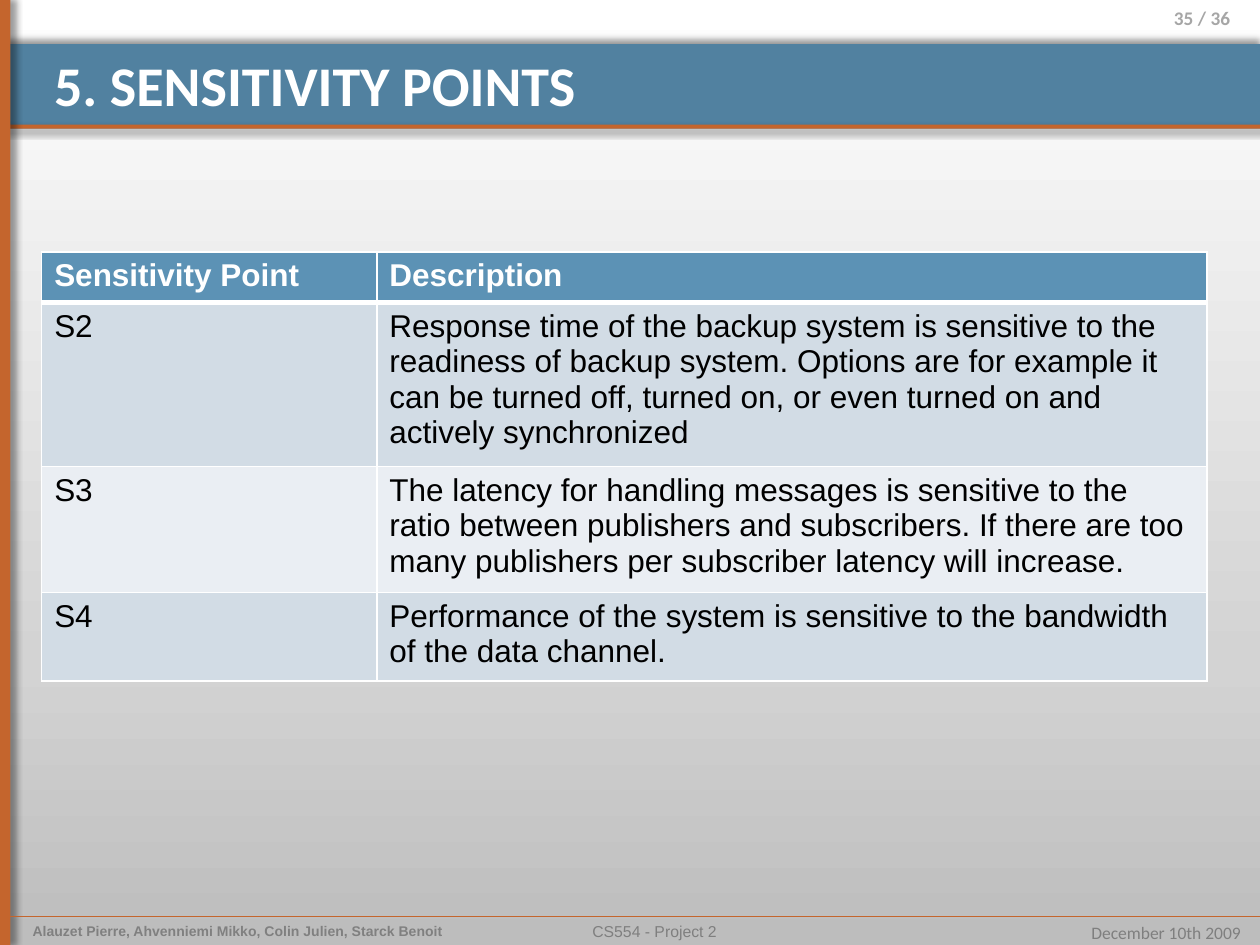
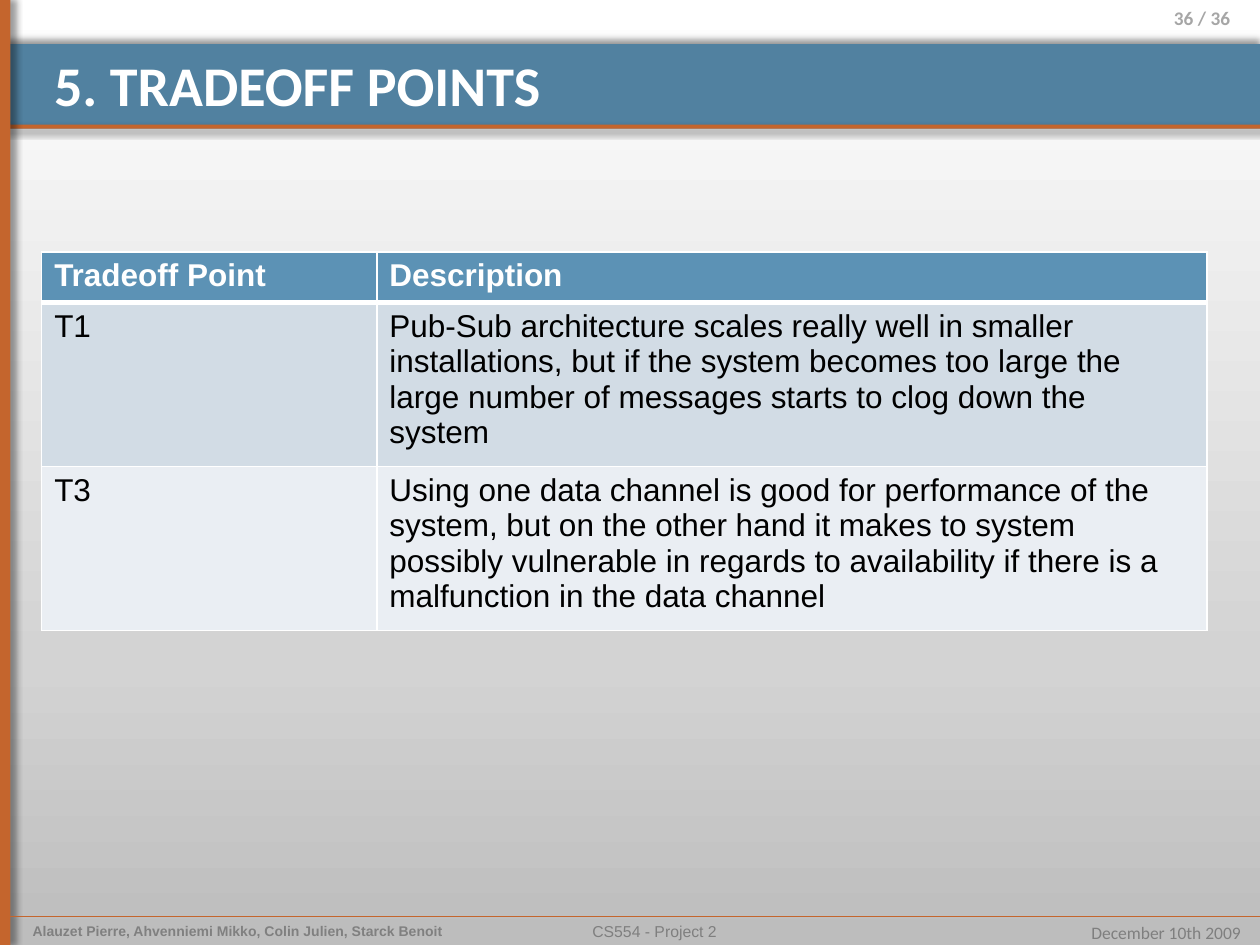
from copy import deepcopy

from lxml import etree
from pptx import Presentation
from pptx.dml.color import RGBColor
from pptx.enum.shapes import MSO_CONNECTOR, MSO_SHAPE
from pptx.enum.text import PP_ALIGN
from pptx.oxml import parse_xml
from pptx.oxml.ns import nsdecls, qn
from pptx.util import Pt

RECT = MSO_SHAPE.RECTANGLE
LINE = MSO_CONNECTOR.STRAIGHT
LEFT, MID, RIGHT = PP_ALIGN.LEFT, PP_ALIGN.CENTER, PP_ALIGN.RIGHT

WIDE, HIGH = 720, 540
RUST, BLUE, HEAD, WHITE = "C4652D", "5181A0", "5C92B5", "FFFFFF"
BANDS = ["D2DCE5", "EAEEF3"]
FADE = [(0, "BDBDBD"), (0.3, "D3D3D3"), (1, WHITE)]
FOOT = 523.4
TOTAL = 36

# Left, top, width, height, fill, shadow angle
BARS = [
    (0, 25.2, WIDE, 48.2, BLUE, 270),
    (0, 71.3, WIDE, 2.2, RUST, 45),
    (0, 0, 6, HIGH, RUST, 0),
]

# Font formats: name, size, bold, colour
TITLE = dict(name="Calibri", size=Pt(32), bold=True, color=WHITE)
COUNT = dict(name="Calibri", size=Pt(11), bold=True, color="A6A6A6")
TEAM = dict(name="Arial", size=Pt(8), bold=True, color="808080")
COURSE = dict(name="Arial", size=Pt(9), bold=False, color="7F7F7F")
DATE = dict(name="Calibri", size=Pt(10), bold=False, color="7F7F7F")
TOP = dict(name="Arial", size=Pt(18), bold=True, color=WHITE)
BODY = dict(name="Arial", size=Pt(18), bold=False, color="000000")

# Title, first heading, rows of (name, description, row height)
PAGES = [
    ("5. SENSITIVITY POINTS", "Sensitivity Point", [
        ("S2", "Response time of the backup system is sensitive to the readiness "
               "of backup system. Options are for example it can be turned off, "
               "turned on, or even turned on and actively synchronized", 88),
        ("S3", "The latency for handling messages is sensitive to the ratio "
               "between publishers and subscribers. If there are too many "
               "publishers per subscriber latency will increase.", 67.5),
        ("S4", "Performance of the system is sensitive to the bandwidth of the "
               "data channel.", 47.5),
    ]),
    ("5. TRADEOFF POINTS", "Tradeoff Point", [
        ("T1", "Pub-Sub architecture scales really well in smaller installations, "
               "but if the system becomes too large the large number of messages "
               "starts to clog down the system", 88),
        ("T3", "Using one data channel is good for performance of the system, but "
               "on the other hand it makes to system possibly vulnerable in "
               "regards to availability if there is a malfunction in the data "
               "channel", 88),
    ]),
]

hue = RGBColor.from_string


def write(frame, text, form, align=LEFT):
    """Fill a text frame with one formatted paragraph."""
    frame.word_wrap = True
    para = frame.paragraphs[0]
    para.alignment = align
    run = para.add_run()
    run.text = text
    for key, value in form.items():
        if key == "color":
            run.font.color.rgb = hue(value)
        else:
            setattr(run.font, key, value)


def shade(shape, angle):
    """Give a shape or connector a soft black shadow."""
    props = shape.element.spPr
    for old in props.findall(qn("a:effectLst")):
        props.remove(old)
    props.append(parse_xml(
        f'<a:effectLst {nsdecls("a")}><a:outerShdw blurRad="{Pt(4)}" '
        f'dist="{Pt(3)}" dir="{angle * 60000}" algn="ctr" rotWithShape="0">'
        '<a:srgbClr val="000000"><a:alpha val="40000"/></a:srgbClr>'
        '</a:outerShdw></a:effectLst>'))


deck = Presentation()
deck.slide_width, deck.slide_height = Pt(WIDE), Pt(HIGH)

# Shared background, dark at the foot
fill = deck.slide_master.background.fill
fill.gradient()
fill.gradient_angle = 90
stops = deck.slide_master.element.find(".//" + qn("a:gsLst"))
stops.insert(1, deepcopy(stops[0]))
for stop, (place, tint) in zip(fill.gradient_stops, FADE):
    stop.color.rgb = hue(tint)
    stop.position = place

first = TOTAL - len(PAGES) + 1
for num, (title, label, rows) in enumerate(PAGES, first):
    slide = deck.slides.add_slide(deck.slide_layouts[6])
    shapes = slide.shapes

    for x, y, w, h, tint, angle in BARS:
        bar = shapes.add_shape(RECT, Pt(x), Pt(y), Pt(w), Pt(h))
        bar.fill.solid()
        bar.fill.fore_color.rgb = hue(tint)
        bar.line.fill.background()
        shade(bar, angle)

    rule = shapes.add_connector(LINE, Pt(6), Pt(FOOT), Pt(WIDE), Pt(FOOT))
    rule.line.color.rgb = hue(RUST)
    rule.line.width = Pt(0.25)
    shade(rule, 45)

    for x, y, w, h, text, form, align in [
        (11.5, FOOT, 264, 16.6,
         "Alauzet Pierre, Ahvenniemi Mikko, Colin Julien, Starck Benoit", TEAM, LEFT),
        (152, FOOT, 444, 16.6, "CS554 - Project 2", COURSE, MID),
        (636, 0, 74, 28, f"{num} / {TOTAL}", COUNT, RIGHT),
        (606, FOOT, 110, 19.4, "December 10th 2009", DATE, RIGHT),
        (23.8, 25.2, 668, 41.8, title, TITLE, LEFT),
    ]:
        box = shapes.add_textbox(Pt(x), Pt(y), Pt(w), Pt(h))
        write(box.text_frame, text, form, align)

    lines = [(label, "Description", 29), *rows]
    tall = sum(line[2] for line in lines)
    grid = shapes.add_table(len(lines), 2, Pt(23.8), Pt(144), Pt(666), Pt(tall)).table
    for col, w in zip(grid.columns, (191.5, 474.5)):
        col.width = Pt(w)
    for r, (name, text, h) in enumerate(lines):
        grid.rows[r].height = Pt(h)
        for c, words in enumerate((name, text)):
            cell = grid.cell(r, c)
            write(cell.text_frame, words, BODY if r else TOP)
            cell.fill.solid()
            cell.fill.fore_color.rgb = hue(BANDS[(r - 1) % 2] if r else HEAD)
            thick = {"L": 1, "R": 1, "T": 3 if r == 1 else 1, "B": 1 if r else 3}
            props = cell._tc.get_or_add_tcPr()
            for i, (side, size) in enumerate(thick.items()):
                edge = etree.Element(qn(f"a:ln{side}"), w=str(Pt(size)))
                solid = etree.SubElement(edge, qn("a:solidFill"))
                etree.SubElement(solid, qn("a:srgbClr"), val=WHITE)
                props.insert(i, edge)

deck.save("out.pptx")
